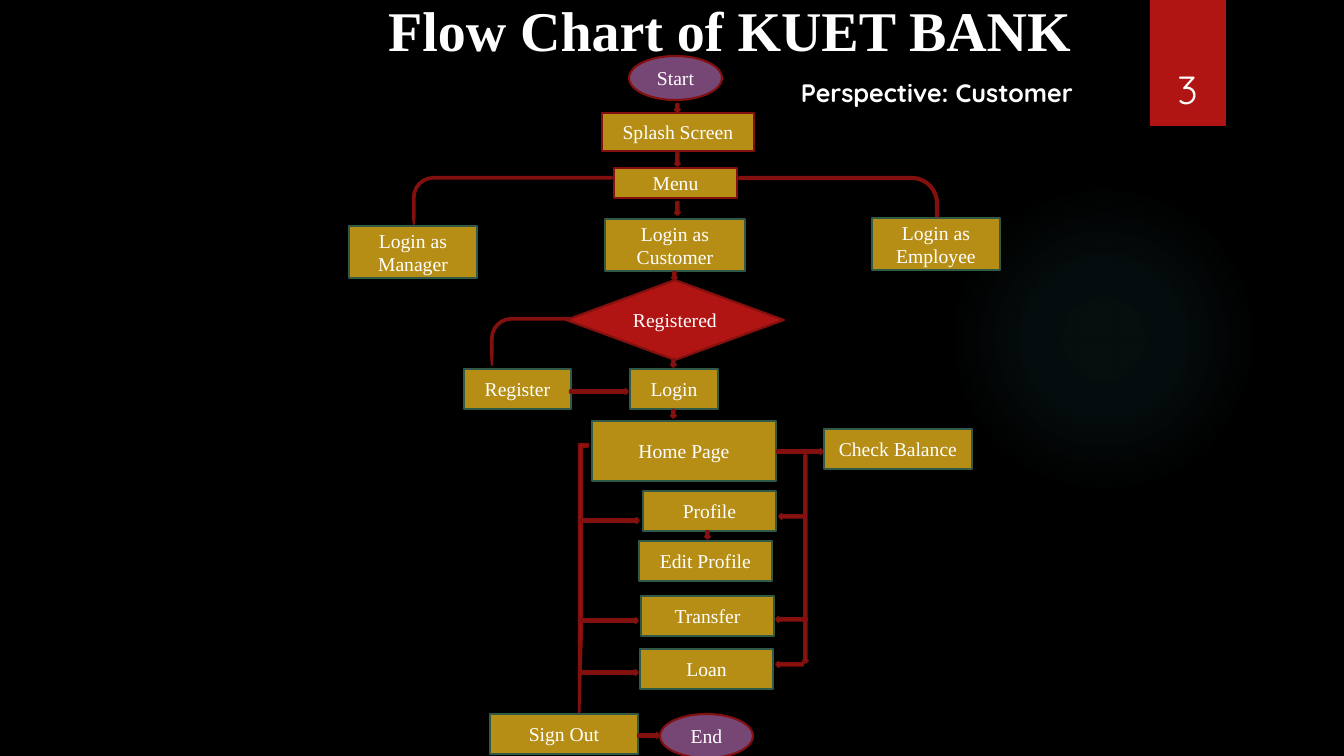
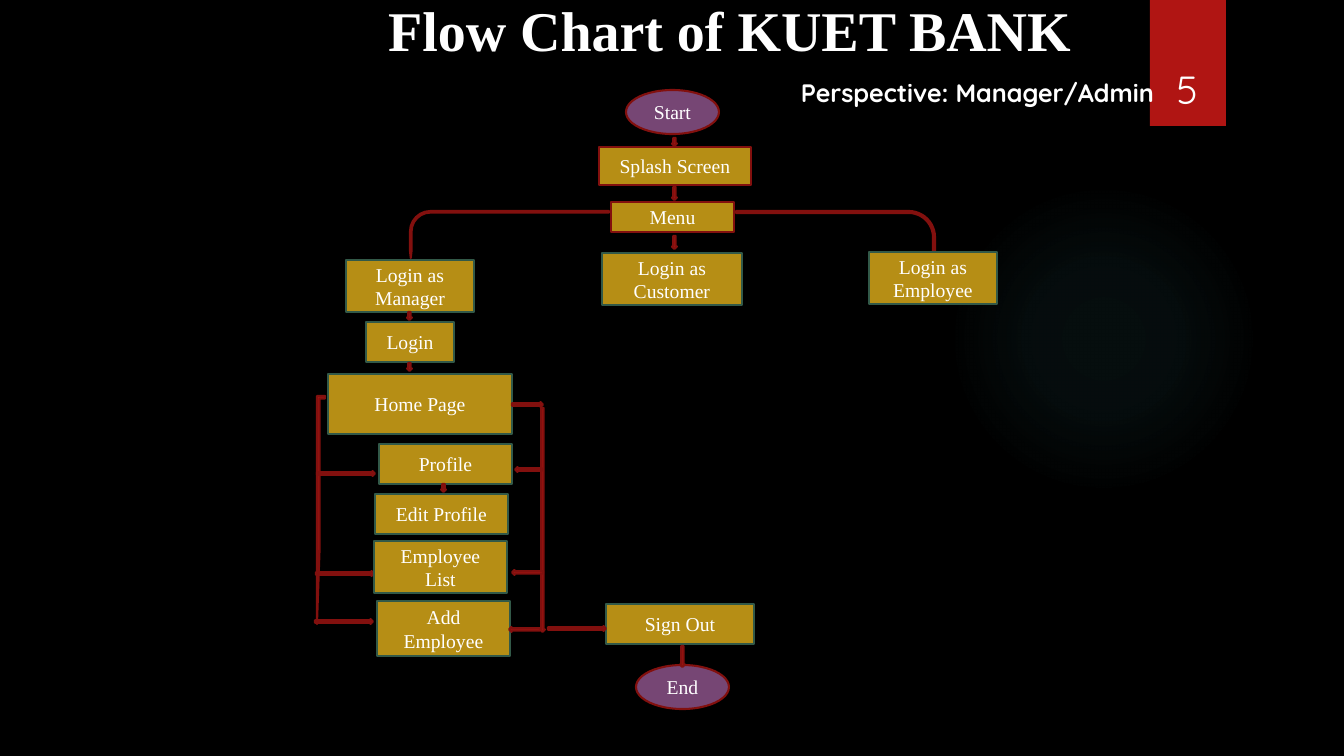
from dataclasses import dataclass

import lxml.etree
import pptx
import pptx.dml.color
import pptx.enum.shapes
import pptx.enum.text
import pptx.oxml
import pptx.oxml.ns
import pptx.util

SHAPE = pptx.enum.shapes.MSO_SHAPE
ALIGN = pptx.enum.text.PP_ALIGN
ANCHOR = pptx.enum.text.MSO_ANCHOR


@dataclass(frozen=True)
class Theme:
    background: str = "000000"
    text: str = "FFFFFF"
    red: str = "B01513"
    dark_red: str = "82100E"
    gold: str = "B68E15"
    green: str = "325948"
    purple: str = "764674"
    glow: str = "50B9C1"
    serif: str = "Times New Roman"
    sans: str = "Quicksand"
    title_size: int = 40
    number_size: int = 28
    subtitle_size: int = 18
    label_size: int = 14
    line_width: float = 1.5


THEME = Theme()


def px(length):
    return pptx.util.Emu(round(length * 914400 / 100.8))


def rgb(value):
    return pptx.dml.color.RGBColor.from_string(value)


def write(shape, text, size=THEME.label_size, face=THEME.serif, bold=False,
          align=ALIGN.CENTER, anchor=ANCHOR.MIDDLE):
    frame = shape.text_frame
    frame.word_wrap = True
    frame.auto_size = pptx.enum.text.MSO_AUTO_SIZE.NONE
    frame.vertical_anchor = anchor
    para = frame.paragraphs[0]
    para.alignment = align
    span = para.add_run()
    span.text = text
    span.font.size = pptx.util.Pt(size)
    span.font.name = face
    span.font.bold = bold
    span.font.color.rgb = rgb(THEME.text)


class FlowChart:
    def __init__(self, deck):
        self.deck = deck
        self.slide = None
        self.offset = (0, 0)

    def page(self, number, subtitle, subtitle_width):
        self.slide = self.deck.slides.add_slide(self.deck.slide_layouts[5])
        self.offset = (0, 0)
        self.glow(949, 184, 310)
        self.shape(SHAPE.RECTANGLE, 1150, 0, 76, 126, THEME.red)
        self.textbox(number, 1141, 32, 93, 85, size=THEME.number_size, anchor=ANCHOR.BOTTOM)
        title = self.slide.shapes.title
        title.left, title.top, title.width, title.height = map(px, (115, -2, 1229, 70))
        write(title, "Flow Chart of KUET BANK", size=THEME.title_size, bold=True,
              anchor=ANCHOR.BOTTOM)
        self.textbox(subtitle, 791, 72, subtitle_width, 40, size=THEME.subtitle_size,
                     bold=True, align=ALIGN.LEFT, anchor=ANCHOR.TOP)

    def textbox(self, text, left, top, width, height, **style):
        box = self.slide.shapes.add_textbox(*map(px, (left, top, width, height)))
        write(box, text, face=THEME.sans, **style)

    def shape(self, kind, left, top, width, height, fill, line=None):
        right, down = self.offset
        shape = self.slide.shapes.add_shape(
            kind, *map(px, (left + right, top + down, width, height)))
        shape.shadow.inherit = False
        shape.fill.solid()
        shape.fill.fore_color.rgb = rgb(fill)
        if line:
            shape.line.color.rgb = rgb(line)
            shape.line.width = pptx.util.Pt(THEME.line_width)
        else:
            shape.line.fill.background()
        return shape

    def glow(self, left, top, size):
        shape = self.shape(SHAPE.OVAL, left, top, size, size, THEME.glow)
        stops = "".join(
            f'<a:gs pos="{place * 1000}"><a:srgbClr val="{THEME.glow}">'
            f'<a:alpha val="{alpha * 1000}"/></a:srgbClr></a:gs>'
            for place, alpha in ((0, 7), (36, 6), (69, 0)))
        gradient = pptx.oxml.parse_xml(
            f'<a:gradFill {pptx.oxml.ns.nsdecls("a")}><a:gsLst>{stops}</a:gsLst>'
            '<a:path path="circle"><a:fillToRect l="50000" t="50000" r="50000" b="50000"/>'
            '</a:path></a:gradFill>')
        properties = shape.element.spPr
        solid = properties.find(pptx.oxml.ns.qn("a:solidFill"))
        properties.replace(solid, gradient)

    def step(self, text, left, top, width=133, height=40, line=THEME.green):
        write(self.shape(SHAPE.RECTANGLE, left, top, width, height, THEME.gold, line), text)

    def terminal(self, text, left, top):
        write(self.shape(SHAPE.OVAL, left, top, 93, 44, THEME.purple, THEME.dark_red), text)

    def decision(self, text, left, top, width, height):
        write(self.shape(SHAPE.FLOWCHART_DECISION, left, top, width, height,
                         THEME.red, THEME.dark_red), text)

    def turned(self, kind, left, top, width, height, rotation):
        if rotation in (90, 270):
            left, top = left + (width - height) / 2, top + (height - width) / 2
            width, height = height, width
        shape = self.shape(kind, left, top, width, height, THEME.red, THEME.dark_red)
        shape.rotation = rotation
        return shape

    def down(self, left, top, length=8):
        self.turned(SHAPE.DOWN_ARROW, left, top, 5, length, 0)

    def right(self, left, top, length=58):
        self.turned(SHAPE.DOWN_ARROW, left, top, length, 5, 270)

    def left(self, left, top, length=31):
        self.turned(SHAPE.DOWN_ARROW, left, top, length, 5, 90)

    def bend(self, left, top, width, height, to_left, head=0.151):
        shape = self.turned(SHAPE.BENT_ARROW, left, top, width, height, 270 if to_left else 90)
        for index, value in enumerate((0.25, 0.017, head, 0.438)):
            shape.adjustments[index] = value
        if to_left:
            shape.element.spPr.find(pptx.oxml.ns.qn("a:xfrm")).set("flipH", "1")

    def rail(self, left, top, width, height):
        self.shape(SHAPE.HALF_FRAME, left, top, width, height, THEME.red, THEME.dark_red)

    def entry(self, offset=(0, 0)):
        self.offset = offset
        self.terminal("Start", 629, 56)
        self.step("Splash Screen", 602, 113, 152, 38, THEME.dark_red)
        self.step("Menu", 614, 168, 123, 30, THEME.dark_red)
        self.bend(413, 177, 199, 47, to_left=True)
        self.bend(739, 177, 199, 60, to_left=False)
        self.step("Login as Manager", 349, 226, 128, 52)
        self.step("Login as Customer", 605, 219, 140, 52)
        self.step("Login as Employee", 872, 218, 128, 52)
        for top, length in ((104, 8), (153, 13), (202, 13)):
            self.down(675, top, length)
        self.offset = (0, 0)

    def account(self, offset=(0, 0)):
        self.offset = offset
        self.step("Login", 630, 369, 88)
        self.step("Home Page", 592, 421, 184, 60)
        self.step("Profile", 643, 491)
        self.step("Edit Profile", 639, 541)
        for left, top in ((671, 359), (671, 410), (705, 531)):
            self.down(left, top)
        self.right(581, 518)
        self.right(580, 618)
        self.left(779, 514, 27)
        self.left(776, 617)
        self.offset = (0, 0)


def customer_page(chart):
    chart.page("3", "Perspective: Customer", 309)
    chart.entry()
    chart.decision("Registered", 566, 280, 218, 80)
    chart.down(672, 272)
    chart.bend(491, 318, 79, 47, to_left=True, head=0.25)
    chart.step("Register", 464, 369, 107)
    chart.right(570, 389)
    chart.down(803, 455, 208)
    chart.rail(579, 444, 9, 282)
    chart.account()
    chart.right(777, 449, 46)
    chart.step("Check Balance", 824, 429, 148)
    chart.step("Transfer", 641, 596)
    chart.step("Loan", 640, 649)
    chart.left(776, 662, 27)
    chart.right(580, 670)
    chart.step("Sign Out", 490, 714, 148)
    chart.terminal("End", 660, 714)
    chart.right(638, 733, 21)


def manager_page(chart):
    chart.page("5", "Perspective: Manager/Admin", 427)
    chart.entry((-3, 34))
    chart.down(540, 408, 224)
    chart.rail(317, 396, 8, 228)
    chart.account((-264, -47))
    chart.right(512, 402, 31)
    chart.step("Employee List", 374, 541, height=52)
    chart.step("Add Employee", 377, 601, height=55)
    chart.right(315, 619)
    chart.left(509, 627)
    chart.step("Sign Out", 606, 604, 148)
    chart.right(548, 626)
    chart.terminal("End", 636, 665)
    chart.down(680, 646, 21)


def main():
    deck = pptx.Presentation()
    deck.slide_width, deck.slide_height = px(1344), px(756)
    backdrop = deck.slide_master.background.fill
    backdrop.solid()
    backdrop.fore_color.rgb = rgb(THEME.background)
    chart = FlowChart(deck)
    customer_page(chart)
    manager_page(chart)
    deck.save("out.pptx")


if __name__ == "__main__":
    main()
